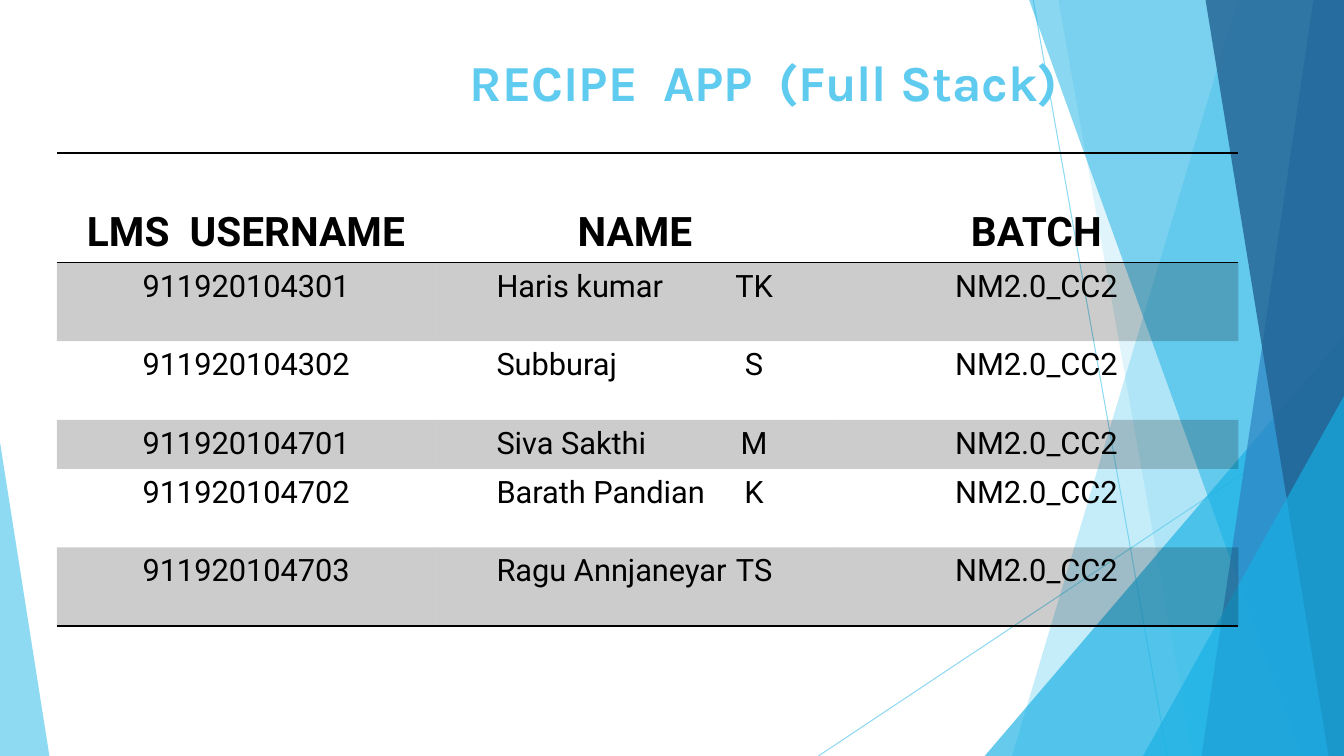
import pptx
import pptx.dml.color
import pptx.enum.shapes
import pptx.enum.text
import pptx.oxml
import pptx.oxml.ns
import pptx.util

Pt = pptx.util.Pt
RGBColor = pptx.dml.color.RGBColor
qn = pptx.oxml.ns.qn
CENTER = pptx.enum.text.PP_ALIGN.CENTER
LEFT = pptx.enum.text.PP_ALIGN.LEFT
MIDDLE = pptx.enum.text.MSO_ANCHOR.MIDDLE
BOTTOM = pptx.enum.text.MSO_ANCHOR.BOTTOM
TOP = pptx.enum.text.MSO_ANCHOR.TOP

WHITE = RGBColor(0xFF, 0xFF, 0xFF)
BLACK = RGBColor(0x00, 0x00, 0x00)
SKY = RGBColor(0x5F, 0xCB, 0xEF)
CYAN = RGBColor(0x17, 0xB0, 0xE4)
BLUE = RGBColor(0x2E, 0x83, 0xC3)
NAVY = RGBColor(0x22, 0x62, 0x92)

SLIDE_WIDTH, SLIDE_HEIGHT = 960, 540
NO_STYLE = "{2D5ABB26-0587-4C30-8999-92F81FD0307C}"
BATCH = "NM2.0_CC2"
HEADINGS = ["LMS  USERNAME", "NAME", "BATCH"]
STUDENTS = [
    ("911920104301", "Haris kumar", "TK"),
    ("911920104302", "Subburaj", "S"),
    ("911920104701", "Siva Sakthi", "M"),
    ("911920104702", "Barath Pandian", "K"),
    ("911920104703", "Ragu Annjaneyar", "TS"),
]
COLUMN_WIDTHS = [270.5, 285, 288.5]
ROW_HEIGHTS = [78.2, 56.2, 56.2, 35, 56.2, 56.2]


def set_opacity(properties, percent):
    color = properties.find(qn("a:solidFill")).find(qn("a:srgbClr"))
    pptx.oxml.ns.nsdecls("a")
    alpha = color.makeelement(qn("a:alpha"), {"val": str(percent * 1000)})
    color.append(alpha)


def paint(facet, color, opacity):
    facet.shadow.inherit = False
    facet.fill.solid()
    facet.fill.fore_color.rgb = color
    facet.line.fill.background()
    set_opacity(facet._element.spPr, opacity)


def add_ray(slide, start, end):
    ray = slide.shapes.add_connector(
        pptx.enum.shapes.MSO_CONNECTOR.STRAIGHT, *map(Pt, start + end))
    ray.line.color.rgb = SKY
    ray.line.width = Pt(0.75)
    properties = ray._element.spPr
    set_opacity(properties.find(qn("a:ln")), 70)
    properties.append(properties.makeelement(qn("a:effectLst"), {}))


def add_band(slide, top_x, bottom_x, color, opacity):
    outline = slide.shapes.build_freeform(Pt(top_x), 0)
    corners = [(SLIDE_WIDTH, 0), (SLIDE_WIDTH, SLIDE_HEIGHT), (bottom_x, SLIDE_HEIGHT)]
    outline.add_line_segments([(Pt(x), Pt(y)) for x, y in corners])
    paint(outline.convert_to_shape(), color, opacity)


def add_corner(slide, left, top, width, apex, color, opacity):
    corner = slide.shapes.add_shape(
        pptx.enum.shapes.MSO_SHAPE.ISOSCELES_TRIANGLE,
        Pt(left), Pt(top), Pt(width), Pt(SLIDE_HEIGHT - top))
    corner.adjustments[0] = apex
    paint(corner, color, opacity)


def add_backdrop(slide):
    add_ray(slide, (738, 0), (833.8, SLIDE_HEIGHT))
    add_ray(slide, (SLIDE_WIDTH, 290.2), (584.6, SLIDE_HEIGHT))
    add_band(slide, 884.2, 722.9, SKY, 36)
    add_band(slide, 756, 851.8, SKY, 20)
    add_corner(slide, 703.4, 239.8, 256.6, 1, CYAN, 66)
    add_band(slide, 735.1, 929.5, CYAN, 50)
    add_band(slide, 938.2, 858.2, BLUE, 70)
    add_band(slide, 861.1, 949, NAVY, 80)
    add_corner(slide, 816.5, 283, 143.5, 1, CYAN, 66)
    add_corner(slide, 0, 316, 35.3, 0, SKY, 70)


def format_text(paragraph, font_name, size, color, bold, alignment):
    paragraph.alignment = alignment
    for run in paragraph.runs:
        run.font.name = font_name
        run.font.size = Pt(size)
        run.font.bold = bold
        run.font.color.rgb = color


def add_title(slide, left, top, width, height):
    title = slide.shapes.add_textbox(Pt(left), Pt(top), Pt(width), Pt(height)).text_frame
    title.word_wrap = True
    title.vertical_anchor = MIDDLE
    title.text = "RECIPE  APP  (Full Stack)"
    format_text(title.paragraphs[0], "Karla", 36, SKY, True, CENTER)


def add_rule(cell, edge):
    properties = cell._tc.get_or_add_tcPr()
    properties.append(pptx.oxml.parse_xml(
        f'<a:{edge} {pptx.oxml.ns.nsdecls("a")} w="{Pt(1)}">'
        f'<a:solidFill><a:srgbClr val="{BLACK}"/></a:solidFill></a:{edge}>'))


def add_tab_stop(paragraph, position):
    paragraph._p.get_or_add_pPr().append(pptx.oxml.parse_xml(
        f'<a:tabLst {pptx.oxml.ns.nsdecls("a")}>'
        f'<a:tab pos="{Pt(position)}" algn="ctr"/></a:tabLst>'))


def fill_cell(cell, text, row, column):
    is_heading = row == 0
    is_name = column == 1 and not is_heading
    cell.margin_left = Pt(43.6 if is_name else 8.6)
    cell.margin_right = Pt(8.6)
    cell.margin_top = cell.margin_bottom = Pt(4.3)
    cell.vertical_anchor = BOTTOM if is_heading else TOP
    cell.text_frame.text = text
    paragraph = cell.text_frame.paragraphs[0]
    format_text(paragraph, "Roboto", 29 if is_heading else 22, BLACK,
                is_heading, LEFT if is_name else CENTER)
    if is_name:
        add_tab_stop(paragraph, 184)
    if is_heading:
        add_rule(cell, "lnT")
    if row in (0, len(STUDENTS)):
        add_rule(cell, "lnB")
    if row % 2:
        cell.fill.solid()
        cell.fill.fore_color.rgb = BLACK
        set_opacity(cell._tc.tcPr, 20)
    else:
        cell.fill.background()


def add_roster(slide, left, top):
    rows = [HEADINGS] + [(username, f"{name}\t{initials}", BATCH)
                         for username, name, initials in STUDENTS]
    frame = slide.shapes.add_table(len(rows), len(HEADINGS), Pt(left), Pt(top),
                                   Pt(sum(COLUMN_WIDTHS)), Pt(sum(ROW_HEIGHTS)))
    roster = frame.table
    roster.first_row = roster.horz_banding = False
    roster._tbl.tblPr.find(qn("a:tableStyleId")).text = NO_STYLE
    for column, width in zip(roster.columns, COLUMN_WIDTHS):
        column.width = Pt(width)
    for row, (height, texts) in enumerate(zip(ROW_HEIGHTS, rows)):
        roster.rows[row].height = Pt(height)
        for column, text in enumerate(texts):
            fill_cell(roster.cell(row, column), text, row, column)


def main():
    deck = pptx.Presentation()
    deck.slide_width, deck.slide_height = Pt(SLIDE_WIDTH), Pt(SLIDE_HEIGHT)
    slide = deck.slides.add_slide(deck.slide_layouts[6])
    slide.background.fill.solid()
    slide.background.fill.fore_color.rgb = WHITE
    add_backdrop(slide)
    add_title(slide, 131.8, 32.4, 828, 51.1)
    add_roster(slide, 40.6, 109.3)
    deck.save("out.pptx")


if __name__ == "__main__":
    main()
